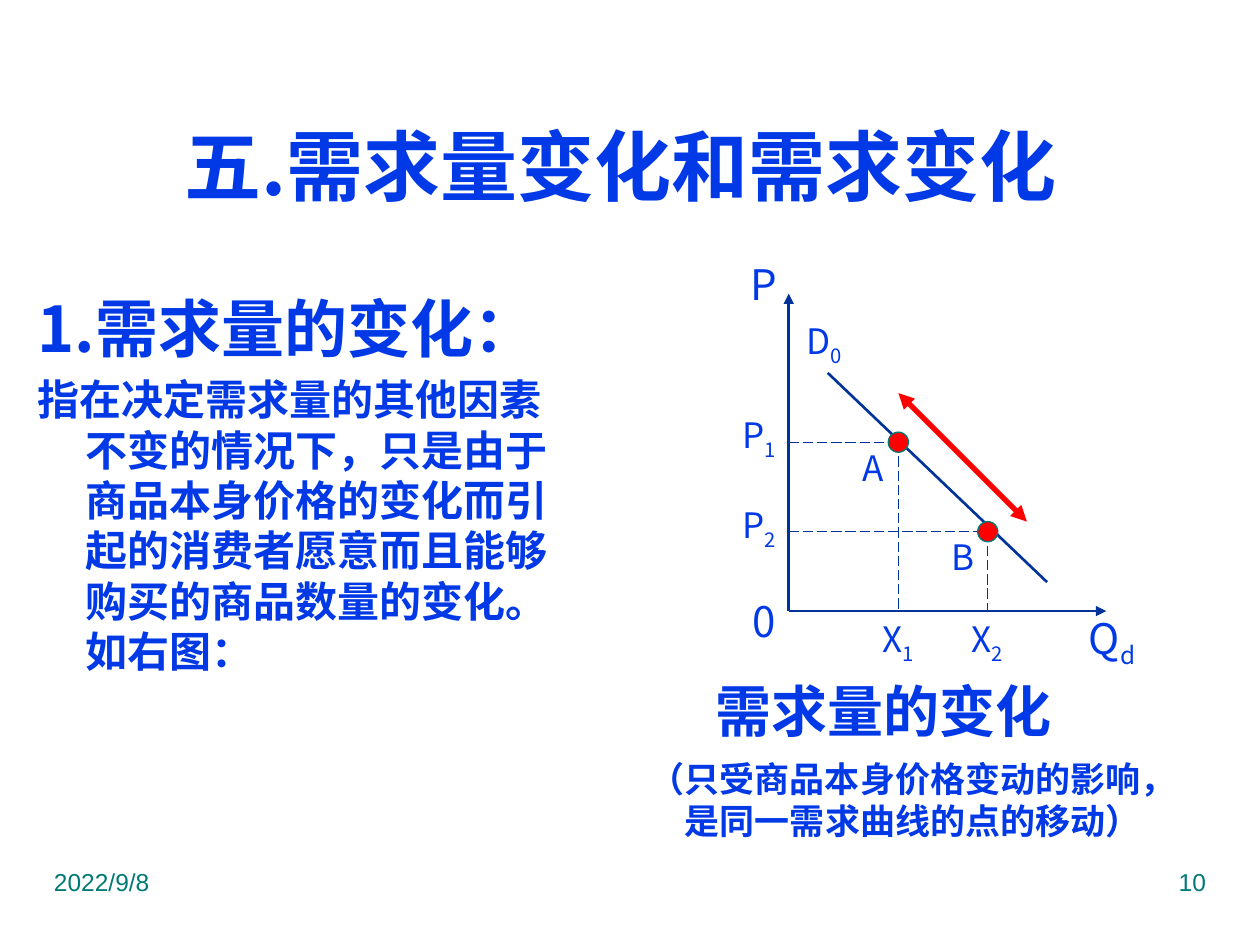
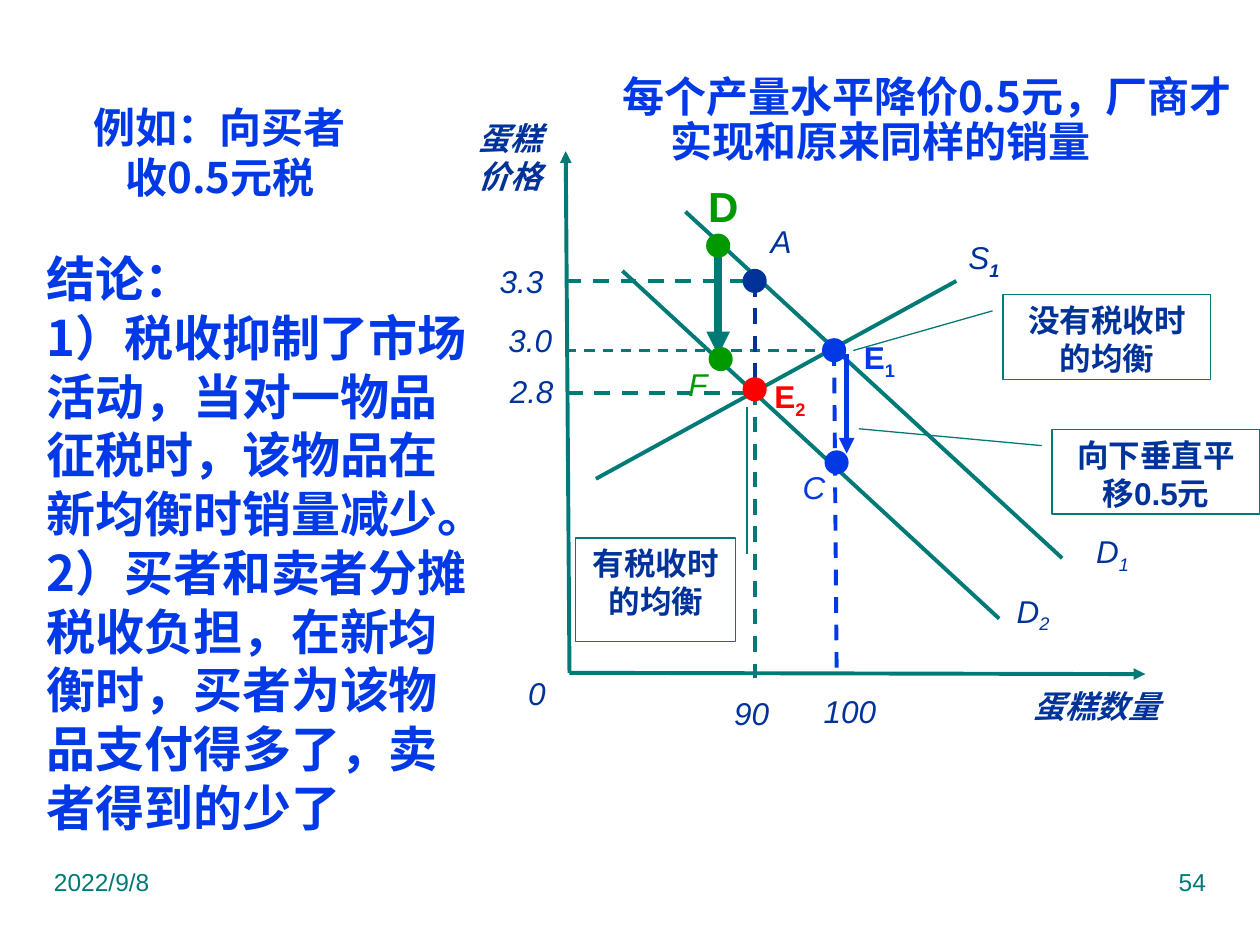
from dataclasses import dataclass, replace
from lxml import etree
from pptx import Presentation
from pptx.dml.color import RGBColor
from pptx.enum.dml import MSO_LINE_DASH_STYLE as Dash
from pptx.enum.shapes import MSO_CONNECTOR, MSO_SHAPE
from pptx.enum.text import MSO_ANCHOR, MSO_AUTO_SIZE, PP_ALIGN
from pptx.oxml.ns import qn
from pptx.util import Inches, Pt

COLORS = {"blue": "0039E5", "navy": "003399", "teal": "007A77",
          "red": "FF0000", "green": "009900"}
CJK_FONT = "Noto Sans CJK SC"
COLUMNS, ROWS = 100, 75
CELL = Inches(0.1)
HANG = 3.8
DOT = 1.6


@dataclass(frozen=True)
class Style:
    size: int
    color: str = "blue"
    font: str = CJK_FONT
    bold: bool = False
    italic: bool = False
    pitch: float = 0
    sub_bold: bool = False


HEADING = Style(44, bold=True, pitch=1.2)
SUBHEADING = replace(HEADING, size=36)
CAPTION = replace(HEADING, size=32)
CONCLUSION = replace(HEADING, size=28)
BODY = replace(HEADING, size=24)
NOTE = replace(HEADING, size=20)
AXIS = Style(24)
POINT = Style(20)
FOOTER = Style(14, "teal", "Arial")
VALUE = Style(18, "navy", "Arial", italic=True)
STRONG = Style(18, "navy", "Arial", bold=True)
CALLOUT = replace(STRONG, pitch=1.2)
AXIS_NAME = replace(CALLOUT, italic=True)


def cells(*lengths):
    return [round(length * CELL) for length in lengths]


def rgb(name):
    return RGBColor.from_string(COLORS[name])


def add_run(paragraph, text, style, subscript=False):
    run = paragraph.add_run()
    run.text = text
    font = run.font
    font.name, font.size = style.font, Pt(style.size)
    font.bold = style.bold or (subscript and style.sub_bold)
    font.italic = style.italic
    font.color.rgb = rgb(style.color)
    props = font._element
    etree.SubElement(props, qn("a:ea")).set("typeface", CJK_FONT)
    if subscript:
        props.set("baseline", "-25000")


def fill_frame(frame, lines, align, anchor, wrap, hang):
    frame.word_wrap = wrap
    frame.auto_size = MSO_AUTO_SIZE.NONE
    frame.vertical_anchor = anchor
    for index, (text, style) in enumerate(lines):
        paragraph = frame.paragraphs[0] if index == 0 else frame.add_paragraph()
        paragraph.alignment = align
        if style.pitch:
            paragraph.line_spacing = Pt(round(style.size * style.pitch, 1))
        if hang:
            paragraph.space_before = Pt(style.size * 0.2)
            indent = cells(HANG)[0]
            props = paragraph._p.get_or_add_pPr()
            props.set("marL", str(indent))
            props.set("indent", str(-indent))
        base, _, subscript = text.partition("_")
        add_run(paragraph, base, style)
        if subscript:
            add_run(paragraph, subscript, style, True)


def add_text(slide, box, lines, align=PP_ALIGN.LEFT, anchor=MSO_ANCHOR.TOP,
             wrap=True, hang=False):
    frame = slide.shapes.add_textbox(*cells(*box)).text_frame
    fill_frame(frame, lines, align, anchor, wrap, hang)


def add_label(slide, box, style, *texts):
    add_text(slide, box, [(text, style) for text in texts],
             PP_ALIGN.CENTER, MSO_ANCHOR.MIDDLE, wrap=False)


def add_line(slide, start, end, color, width, dash=None, ends=()):
    link = slide.shapes.add_connector(MSO_CONNECTOR.STRAIGHT, *cells(*start, *end))
    link.line.color.rgb = rgb(color)
    link.line.width = Pt(width)
    if dash:
        link.line.dash_style = dash
    outline = link.line._get_or_add_ln()
    for end_name in ends:
        etree.SubElement(outline, qn(f"a:{end_name}")).set("type", "triangle")
    etree.SubElement(link._element.spPr, qn("a:effectLst"))


def add_arrow(slide, start, end, color, width):
    add_line(slide, start, end, color, width, ends=["tailEnd"])


def add_dot(slide, center, color, border, width):
    x, y = center
    dot = slide.shapes.add_shape(
        MSO_SHAPE.OVAL, *cells(x - DOT / 2, y - DOT / 2, DOT, DOT))
    dot.shadow.inherit = False
    dot.fill.solid()
    dot.fill.fore_color.rgb = rgb(color)
    dot.line.color.rgb = rgb(border)
    dot.line.width = Pt(width)


def add_callout(slide, box, leader, text):
    callout = slide.shapes.add_shape(MSO_SHAPE.LINE_CALLOUT_1, *cells(*box))
    callout.shadow.inherit = False
    callout.fill.background()
    callout.line.color.rgb = rgb("teal")
    callout.line.width = Pt(0.75)
    for index, share in enumerate(leader):
        callout.adjustments[index] = share
    fill_frame(callout.text_frame, [(text, CALLOUT)],
               PP_ALIGN.CENTER, MSO_ANCHOR.TOP, True, False)


def add_footer(slide, number):
    width, height, margin, top = 25, 5.2, 3.3, 68.3
    add_text(slide, (margin, top, width, height), [("2022/9/8", FOOTER)])
    add_text(slide, (COLUMNS - margin - width, top, width, height),
             [(number, FOOTER)], PP_ALIGN.RIGHT)


def new_slide(deck, number):
    slide = deck.slides.add_slide(deck.slide_layouts[6])
    add_footer(slide, number)
    return slide


def draw_quantity_change(slide):
    origin_x, origin_y = origin = 62.6, 48.5
    add_arrow(slide, origin, (origin_x, 23.3), "navy", 1.5)
    add_arrow(slide, origin, (87.8, origin_y), "navy", 1.5)
    add_line(slide, (65.7, 29.6), (83.1, 46.2), "navy", 1.5)
    add_line(slide, (71.3, 31.2), (81.5, 41.4), "red", 3,
             ends=["headEnd", "tailEnd"])
    for text, left, top in (("Q_d", 84.7, 48.5), ("P", 57.1, 20.2),
                            ("0", 57.1, 46.9)):
        add_label(slide, (left, top, 7.1, 4.7), AXIS, text)
    add_label(slide, (64.2, 25.7, 2.4, 3.1), POINT, "D_0")
    points = (("A", 71.3, 35.1), ("B", 78.4, 42.2))
    for rank, (name, x, y) in enumerate(points, 1):
        add_line(slide, (origin_x, y), (x, y), "navy", 0.75, Dash.LONG_DASH)
        add_line(slide, (x, y), (x, origin_y), "navy", 0.75, Dash.LONG_DASH)
        add_label(slide, (58.7, y - 2.3, 3.1, 3.9), POINT, f"P_{rank}")
        add_label(slide, (x - 1.6, 49.3, 3.1, 3.2), POINT, f"X_{rank}")
        add_label(slide, (x - 3.2, y + 0.8, 2.4, 2.4), POINT, name)
        add_dot(slide, (x, y), "red", "teal", 0.75)


def build_quantity_slide(deck):
    slide = new_slide(deck, "10")
    add_text(slide, (2, 22.5, 44.1, 44.1), [
        ("1.需求量的变化：", SUBHEADING),
        ("指在决定需求量的其他因素不变的情况下，只是由于商品本身价格的变化"
         "而引起的消费者愿意而且能够购买的商品数量的变化。如右图：", BODY),
    ], hang=True)
    add_text(slide, (55.8, 53.2, 33.9, 6.4), [("需求量的变化", CAPTION)], hang=True)
    add_label(slide, (57.1, 61.1, 30.7, 4.7), NOTE,
              "（只受商品本身价格变动的影响，", "是同一需求曲线的点的移动）")
    draw_quantity_change(slide)
    add_text(slide, (4.3, 7.6, 90, 11), [("五.需求量变化和需求变化", HEADING)],
             PP_ALIGN.CENTER, MSO_ANCHOR.MIDDLE)


def draw_tax_market(slide):
    origin = 45.2, 53.4
    add_arrow(slide, origin, (90.9, 53.5), "teal", 2.25)
    add_arrow(slide, origin, (44.9, 12), "teal", 2.25)
    for start, end in (((49.4, 21.5), (79.3, 49.1)),
                       ((47.3, 38), (75.9, 22.3)),
                       ((54.4, 16.8), (84.3, 44.3))):
        add_line(slide, start, end, "teal", 2.25)
    for start, end, color, width in (
            ((45, 31.2), (59.6, 31.2), "teal", 2.25),
            ((44.9, 22.3), (59.6, 22.3), "teal", 2.25),
            ((44.9, 27.8), (66.4, 27.8), "teal", 1.5),
            ((66.2, 27.8), (66.4, 53), "blue", 2.25),
            ((59.9, 30.9), (59.9, 53.8), "teal", 2.25),
            ((59.9, 22.3), (59.9, 30.1), "navy", 2.25)):
        add_line(slide, start, end, color, width, Dash.DASH)
    add_arrow(slide, (67.2, 28.1), (67.2, 36), "blue", 3)
    add_arrow(slide, (57, 20.3), (57, 28.2), "teal", 4.5)
    for center, color in (((66.2, 27.8), "blue"), ((59.9, 30.9), "red"),
                          ((59.9, 22.3), "navy"), ((66.4, 36.7), "blue"),
                          ((57, 19.5), "green"), ((57.2, 28.5), "green")):
        add_dot(slide, center, color, color, 2.25)


def label_tax_market(slide):
    for text, left, top in (("3.3", 39.4, 20.7), ("3.0", 40.1, 25.4),
                            ("2.8", 40.2, 29.4)):
        add_label(slide, (left, top, 4, 3.2), VALUE, text)
    for text, left, top in (("90", 57.6, 54.5), ("100", 65.4, 54.4)):
        add_label(slide, (left, top, 4.1, 4.1), VALUE, text)
    for text, left, top in (("D_1", 85.1, 40.4), ("D_2", 78.8, 45.1)):
        add_label(slide, (left, top, 6.4, 7.1), VALUE, text)
    add_label(slide, (41, 53, 3.2, 3.9), VALUE, "0")
    add_label(slide, (59.9, 16, 4.2, 6.2), VALUE, "A")
    add_label(slide, (76, 17.5, 4.2, 6.2), replace(VALUE, sub_bold=True), "S_1")
    for text, left, top, color in (("C", 62.5, 36.7, "blue"),
                                   ("F", 53.3, 28.5, "green")):
        add_label(slide, (left, top, 4.2, 3.9), replace(VALUE, color=color), text)
    for text, left, top, color, size in (("E_1", 68.6, 27, "blue", 18),
                                         ("E_2", 61.5, 30.1, "red", 18),
                                         ("D", 56.2, 14.8, "green", 24)):
        add_label(slide, (left, top, 2.4, 3.1),
                  replace(STRONG, color=color, size=size), text)
    add_label(slide, (37.1, 7.3, 6.8, 10.3), AXIS_NAME, "蛋糕", "价格")
    add_label(slide, (80.3, 54.4, 13.5, 3.3), AXIS_NAME, "蛋糕数量")
    add_callout(slide, (79.6, 23.4, 16.5, 6.7), (0.19, -0.05, 0.66, -0.72),
                "没有税收时的均衡")
    add_callout(slide, (45.7, 42.7, 12.7, 8.2), (0.15, 1.07, -1.27, 1.07),
                "有税收时的均衡")
    add_callout(slide, (83.5, 34.1, 16.5, 6.7), (0.19, -0.05, -0.01, -0.93),
                "向下垂直平移0.5元")


def build_tax_slide(deck):
    slide = new_slide(deck, "54")
    add_label(slide, (9.9, 7.7, 15.1, 8.7), BODY, "例如：向买者", "收0.5元税")
    conclusions = (
        "结论：",
        "1）税收抑制了市场活动，当对一物品征税时，该物品在新均衡时销量减少。",
        "2）买者和卖者分摊税收负担，在新均衡时，买者为该物品支付得多了，卖者得到的少了")
    add_text(slide, (2.7, 17, 35.5, 52.1),
             [(text, CONCLUSION) for text in conclusions],
             anchor=MSO_ANCHOR.MIDDLE)
    add_text(slide, (48.4, 5.5, 51.6, 8.3),
             [("每个产量水平降价0.5元，厂商才实现和原来同样的销量",
               replace(BODY, pitch=1.08))], hang=True)
    draw_tax_market(slide)
    label_tax_market(slide)


def main():
    deck = Presentation()
    deck.slide_width, deck.slide_height = cells(COLUMNS, ROWS)
    build_quantity_slide(deck)
    build_tax_slide(deck)
    deck.save("out.pptx")


if __name__ == "__main__":
    main()
